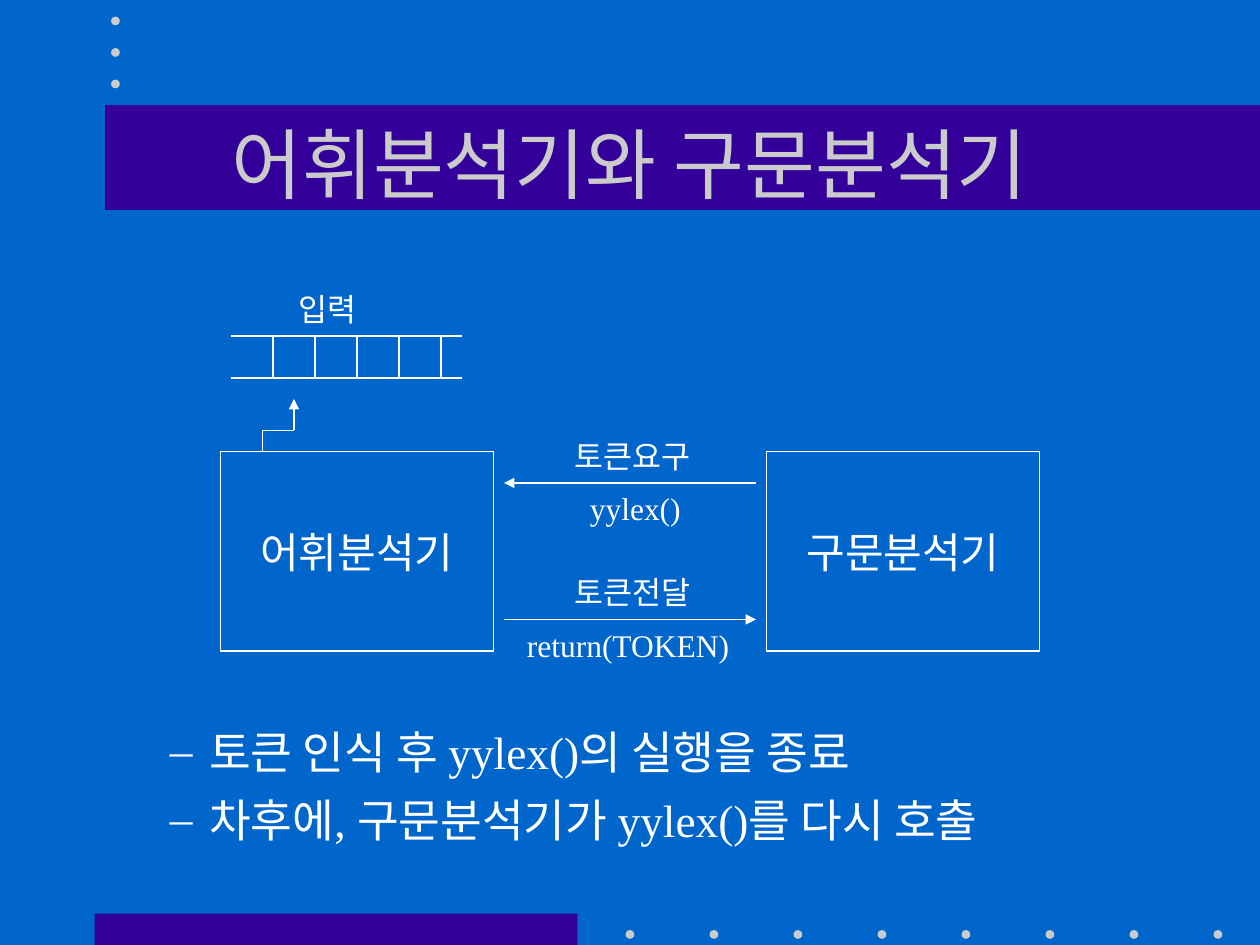
"""Build the slide on how the lexical analyzer and the parser work together."""
from dataclasses import dataclass

from lxml.etree import SubElement
from pptx import Presentation
from pptx.dml.color import RGBColor
from pptx.enum.shapes import MSO_CONNECTOR, MSO_SHAPE
from pptx.enum.text import MSO_ANCHOR, MSO_AUTO_SIZE, PP_ALIGN
from pptx.oxml.ns import qn
from pptx.util import Pt


@dataclass(frozen=True)
class Theme:
    background: RGBColor = RGBColor(0x00, 0x66, 0xCC)
    band: RGBColor = RGBColor(0x33, 0x00, 0x99)
    accent: RGBColor = RGBColor(0xCB, 0xCB, 0xCB)
    ink: RGBColor = RGBColor(0xFF, 0xFF, 0xFF)
    font: str = "Times New Roman"
    title_size: float = 44
    bullet_size: float = 25.9
    box_size: float = 24
    label_size: float = 18


theme = Theme()


def add_text(para, text, size, color=theme.ink):
    span = para.add_run()
    span.text = text
    span.font.name = theme.font
    span.font.size = Pt(size)
    span.font.color.rgb = color


def add_block(page, kind, left, top, width, height, fill=None):
    block = page.shapes.add_shape(kind, Pt(left), Pt(top), Pt(width), Pt(height))
    block.shadow.inherit = False
    if fill is None:
        block.fill.background()
        block.line.color.rgb = theme.ink
        block.line.width = Pt(1)
    else:
        block.fill.solid()
        block.fill.fore_color.rgb = fill
        block.line.fill.background()
    return block


deck = Presentation()
deck.slide_width, deck.slide_height = Pt(720), Pt(540)
page = deck.slides.add_slide(deck.slide_layouts[5])
page.background.fill.solid()
page.background.fill.fore_color.rgb = theme.background

for band in [(54, 522, 276, 18), (60, 60, 660, 60)]:
    add_block(page, MSO_SHAPE.RECTANGLE, *band, theme.band)
bottom_dots = [(357.5 + 48 * step, 531.5) for step in range(8)]
top_dots = [(63.5, 9.5 + 18 * step) for step in range(3)]
for left, top in bottom_dots + top_dots:
    add_block(page, MSO_SHAPE.OVAL, left, top, 5, 5, theme.accent)

title = page.shapes.title
title.left, title.top, title.width, title.height = Pt(54), Pt(48), Pt(612), Pt(90)
title.text_frame.auto_size = MSO_AUTO_SIZE.NONE
title.text_frame.vertical_anchor = MSO_ANCHOR.MIDDLE
title_para = title.text_frame.paragraphs[0]
title_para.alignment = PP_ALIGN.CENTER
add_text(title_para, "어휘분석기와 구문분석기", theme.title_size, theme.accent)
page.shapes.element.append(title.element)

for left, name in [(126, "어휘분석기"), (438, "구문분석기")]:
    box = add_block(page, MSO_SHAPE.RECTANGLE, left, 258, 156, 114)
    box.text_frame.vertical_anchor = MSO_ANCHOR.MIDDLE
    para = box.text_frame.paragraphs[0]
    para.alignment = PP_ALIGN.CENTER
    add_text(para, name, theme.box_size)

for left in (156, 204, 228):
    add_block(page, MSO_SHAPE.RECTANGLE, left, 192, 24, 24)

lines = [
    (132, 192, 264, 192, False),
    (132, 216, 264, 216, False),
    (150, 258, 150, 246, False),
    (150, 246, 168, 246, False),
    (168, 246, 168, 228, True),
    (432, 276, 288, 276, True),
    (288, 354, 432, 354, True),
]
for start_x, start_y, end_x, end_y, has_arrow in lines:
    line = page.shapes.add_connector(
        MSO_CONNECTOR.STRAIGHT, Pt(start_x), Pt(start_y), Pt(end_x), Pt(end_y)
    )
    line.line.color.rgb = theme.ink
    line.line.width = Pt(1)
    if has_arrow:
        SubElement(line.line._get_or_add_ln(), qn("a:tailEnd"), type="triangle")
    SubElement(line.element.spPr, qn("a:effectLst"))

labels = [
    ("입력", 163.5, 162, 50),
    ("토큰요구", 321, 246, 84),
    ("yylex()", 330, 276, 72),
    ("토큰전달", 321, 324, 84),
    ("return(TOKEN)", 294, 354, 134),
]
for text, left, top, width in labels:
    label = page.shapes.add_textbox(Pt(left), Pt(top), Pt(width), Pt(29))
    label.text_frame.word_wrap = True
    add_text(label.text_frame.paragraphs[0], text, theme.label_size)

notes = page.shapes.add_textbox(Pt(54), Pt(403), Pt(612), Pt(84))
notes.text_frame.word_wrap = True
bullets = ["토큰 인식 후 yylex()의 실행을 종료", "차후에, 구문분석기가 yylex()를 다시 호출"]
for index, text in enumerate(bullets):
    para = notes.text_frame.paragraphs[0] if index == 0 else notes.text_frame.add_paragraph()
    para.line_spacing = Pt(38.5)
    properties = para._p.get_or_add_pPr()
    properties.set("marL", str(Pt(58.5)))
    properties.set("indent", str(-Pt(22.5)))
    bullet_color = SubElement(properties, qn("a:buClr"))
    SubElement(bullet_color, qn("a:srgbClr"), val=str(theme.ink))
    SubElement(properties, qn("a:buFont"), typeface=theme.font)
    SubElement(properties, qn("a:buChar"), char="–")
    add_text(para, text, theme.bullet_size)

deck.save("out.pptx")
